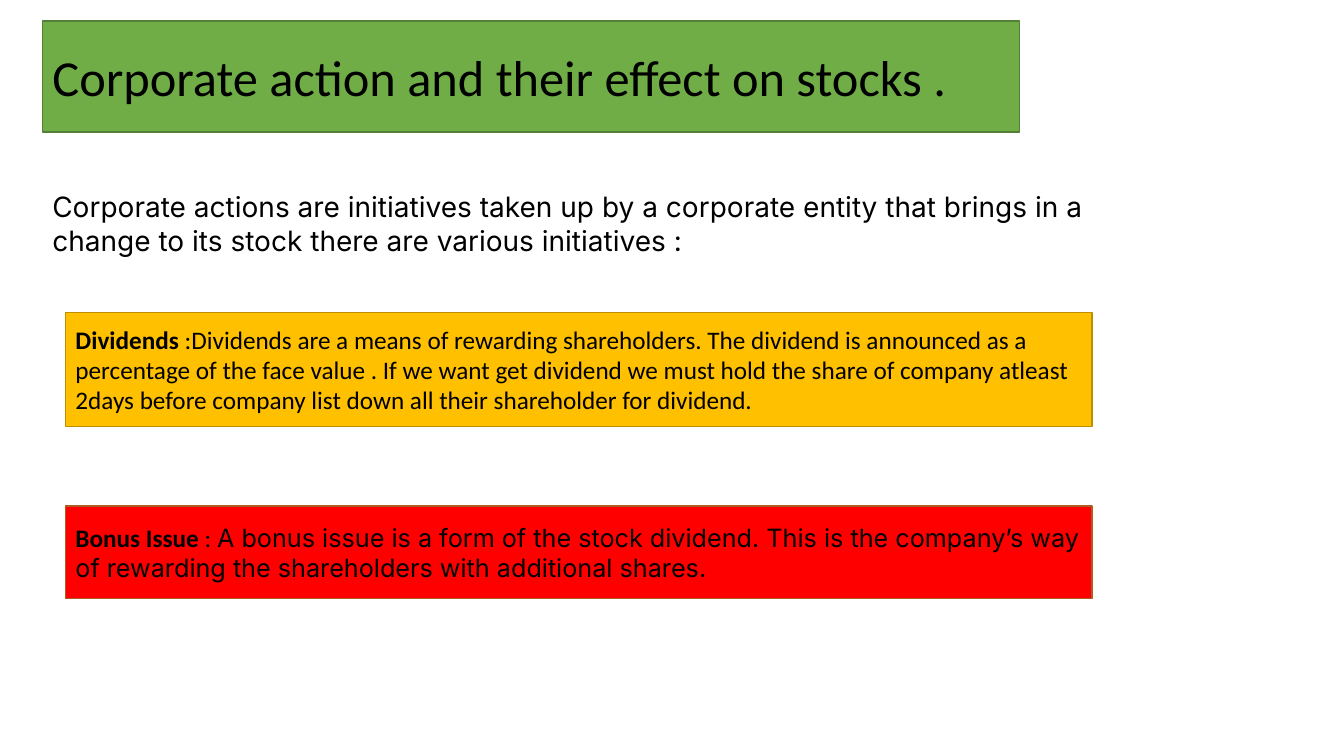
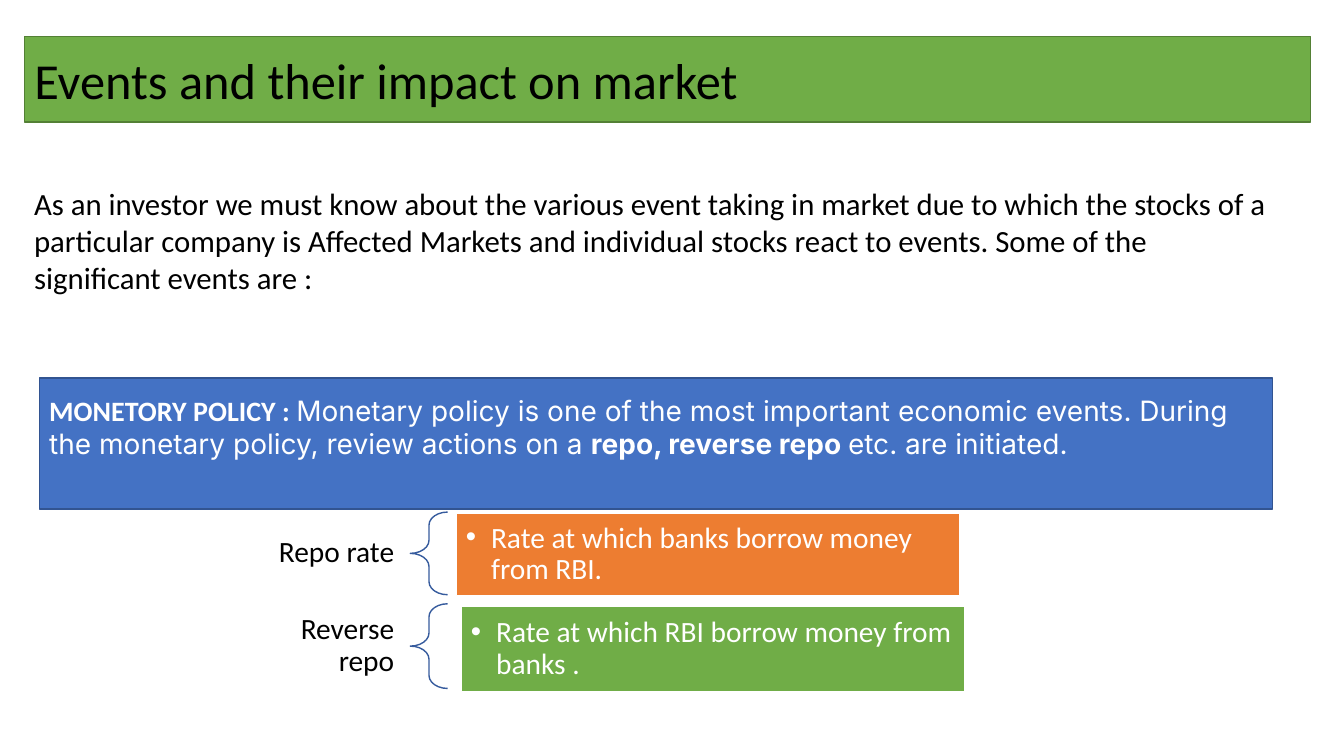
from dataclasses import dataclass

from lxml import etree
from pptx import Presentation
from pptx import util as u
from pptx.dml.color import RGBColor
from pptx.enum import shapes, text
from pptx.oxml import ns

PX = 9144  # one px is a hundredth of an inch


@dataclass(frozen=True)
class Theme:
    heading: str = "Calibri"
    reading: str = "Inter"
    ink: str = "000000"
    paper: str = "FFFFFF"
    green: str = "70AD47"
    green_edge: str = "538035"
    amber: str = "FFC000"
    amber_edge: str = "BD8E00"
    red: str = "FF0000"
    red_edge: str = "AF5C24"
    blue: str = "4472C4"
    blue_edge: str = "325491"
    brace: str = "365B9D"
    orange: str = "ED7D31"
    title_pt: int = 36
    lead_pt: int = 22
    label_pt: int = 21
    body_pt: int = 20
    card_pt: int = 18


T = Theme()


def px(*lengths):
    return [u.Emu(n * PX) for n in lengths]


def paint(sp, fill, edge):
    sp.fill.solid()
    sp.fill.fore_color.rgb = RGBColor.from_string(fill)
    sp.line.color.rgb = RGBColor.from_string(edge)
    sp.line.width = u.Pt(1)


def write(sp, paragraphs, size, color=T.ink, anchor=text.MSO_ANCHOR.MIDDLE,
          align=text.PP_ALIGN.LEFT, spacing=1.0, insets=(10, 5, 10, 5)):
    """Each paragraph is a list of (words, font name, bold) runs."""
    tf = sp.text_frame
    tf.word_wrap = True
    tf.auto_size = text.MSO_AUTO_SIZE.NONE
    tf.vertical_anchor = anchor
    tf.margin_left, tf.margin_top, tf.margin_right, tf.margin_bottom = px(*insets)
    for i, runs in enumerate(paragraphs):
        p = tf.add_paragraph() if i else tf.paragraphs[0]
        p.alignment = align
        p.line_spacing = spacing
        p.font.size = u.Pt(size)
        p.font.color.rgb = RGBColor.from_string(color)
        same_font = len({name for _, name, _ in runs}) == 1
        if same_font:
            p.font.name = runs[0][1]
        for words, name, bold in runs:
            r = p.add_run()
            r.text = words
            if not same_font:
                r.font.name = name
            if bold:
                r.font.bold = True
    return tf


def add_bullet(p, indent):
    pPr = p._p.get_or_add_pPr()
    pPr.set("marL", str(indent * PX))
    pPr.set("indent", str(-indent * PX))
    # Bullet marks come before the paragraph's default run properties
    marks = [etree.Element(ns.qn("a:buFont"), typeface="Arial"),
             etree.Element(ns.qn("a:buChar"), char="•")]
    defaults = pPr.find(ns.qn("a:defRPr"))
    for mark in marks:
        defaults.addprevious(mark)


def add_box(s, box, fill, edge):
    sp = s.shapes.add_shape(shapes.MSO_SHAPE.RECTANGLE, *px(*box))
    sp.shadow.inherit = False
    paint(sp, fill, edge)
    return sp


def add_title_slide(prs, title, box):
    s = prs.slides.add_slide(prs.slide_layouts[5])
    sp = s.shapes.title
    sp.left, sp.top, sp.width, sp.height = px(*box)
    paint(sp, T.green, T.green_edge)
    write(sp, [[(title, T.heading, False)]], T.title_pt)
    return s


def add_lead(s, box, words, font, size):
    sp = s.shapes.add_textbox(*px(*box))
    write(sp, [[(words, font, False)]], size, anchor=text.MSO_ANCHOR.TOP)


def add_card(s, box, fill, edge, paragraphs, size, **style):
    write(add_box(s, box, fill, edge), paragraphs, size, **style)


def add_term_row(s, box, label, meaning, fill, bar_left, bar_drop):
    """A label, a brace and a bulleted bar, placed from the row's corner."""
    x, y, width, height = box
    label_w, brace_w = 184, 37

    sp = s.shapes.add_textbox(*px(x, y, label_w, height))
    write(sp, [[(label, T.heading, False)]], T.label_pt,
          align=text.PP_ALIGN.RIGHT, spacing=0.9, insets=(16, 6, 16, 6))

    brace = s.shapes.add_shape(shapes.MSO_SHAPE.LEFT_BRACE,
                               *px(x + label_w, y, brace_w, height))
    brace.shadow.inherit = False
    brace.fill.background()
    brace.line.color.rgb = RGBColor.from_string(T.brace)
    brace.line.width = u.Pt(1)
    brace.adjustments[0] = 0.35
    brace.adjustments[1] = 0.5

    bar = add_box(s, (x + bar_left, y + bar_drop, width - bar_left, height),
                  fill, T.paper)
    tf = write(bar, [[(meaning, T.heading, False)]], T.label_pt, T.paper,
               spacing=0.9, insets=(9, 9, 9, 9))
    add_bullet(tf.paragraphs[0], 25)


def corporate_actions(prs):
    s = add_title_slide(prs, "Corporate action and their effect on stocks .",
                        (42, 21, 969, 110))
    add_lead(s, (42, 183, 1125, 145),
             "Corporate actions are initiatives taken up by a corporate entity "
             "that brings in a change to its stock there are various initiatives :",
             T.reading, T.body_pt)
    # Kinds of action
    add_card(s, (65, 310, 1018, 113), T.amber, T.amber_edge, [
        [("Dividends", T.heading, True),
         (" :Dividends are a means of rewarding shareholders. The dividend is "
          "announced as a percentage of the face value . If we want get dividend "
          "we must hold the share of company atleast", T.heading, False)],
        [("2days before company list down all their shareholder for dividend.",
          T.heading, False)],
    ], T.card_pt)
    add_card(s, (65, 502, 1018, 92), T.red, T.red_edge, [
        [("Bonus Issue ", T.heading, True),
         (": ", T.heading, False),
         ("A bonus issue is a form of the stock dividend. This is the company’s "
          "way of rewarding the shareholders with additional shares.",
          T.reading, False)],
    ], T.card_pt)


def market_events(prs):
    s = add_title_slide(prs, "Events and their impact on market",
                        (24, 36, 1276, 85))
    add_lead(s, (24, 178, 1253, 121),
             "As an investor we must know about the various event taking in market "
             "due to which the stocks of a particular company is Affected Markets "
             "and individual stocks react to events. Some of the significant "
             "events are :", T.heading, T.lead_pt)
    # Monetary policy, with its text raised by a deeper bottom inset
    add_card(s, (39, 375, 1223, 130), T.blue, T.blue_edge, [
        [("MONETORY POLICY : ", T.heading, True),
         ("Monetary policy is one of the most important economic events. During "
          "the monetary policy, review actions on a ", T.reading, False),
         ("repo, reverse repo ", T.reading, True),
         ("etc. are initiated.", T.reading, False)],
    ], T.body_pt, color=T.paper, insets=(10, 5, 10, 38))
    # Rates
    add_term_row(s, (223, 508, 729, 82), "Repo rate",
                 "Rate at which banks borrow money from RBI.", T.orange, 230, 1)
    add_term_row(s, (223, 599, 734, 84), "Reverse repo",
                 "Rate at which RBI borrow money from banks .", T.green, 235, 3)


def main():
    prs = Presentation()
    prs.slide_width, prs.slide_height = px(1333, 750)
    corporate_actions(prs)
    market_events(prs)
    prs.save("out.pptx")


if __name__ == "__main__":
    main()
